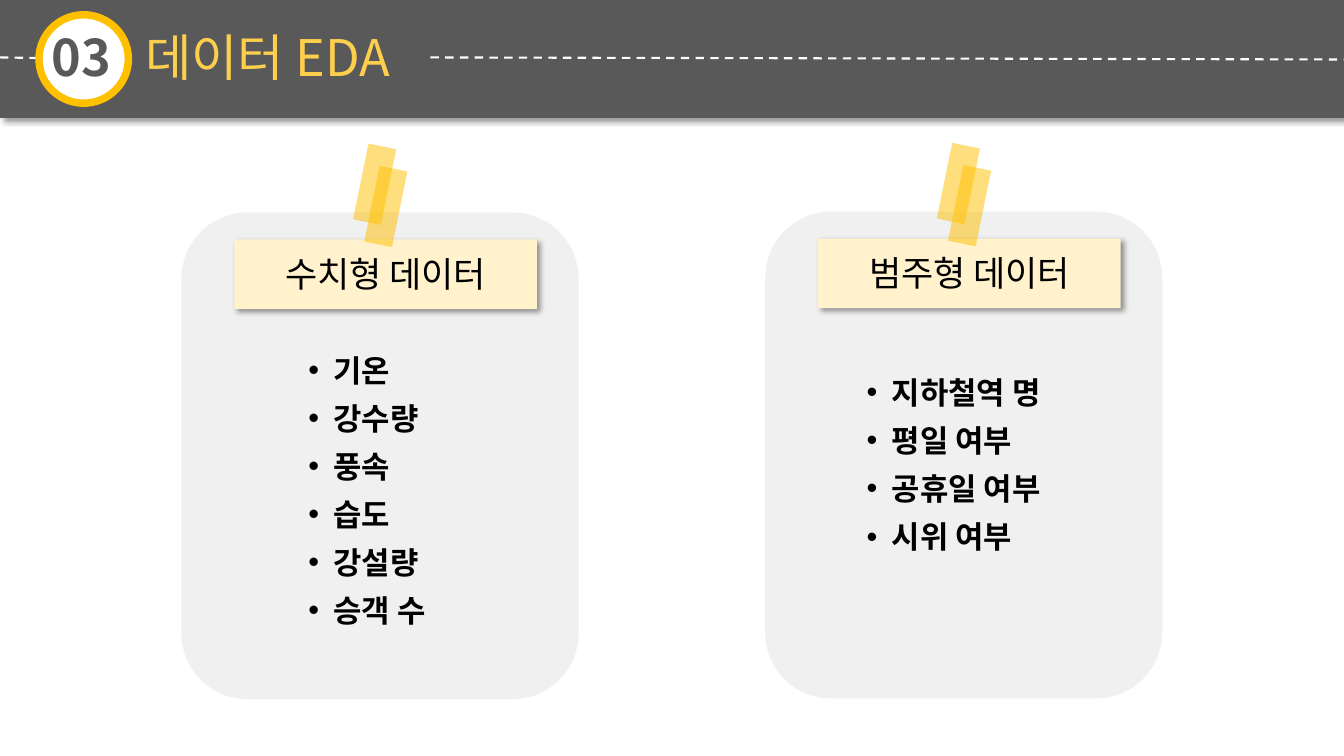
from dataclasses import dataclass

from lxml.etree import SubElement
from pptx import Presentation
from pptx.dml.color import RGBColor
from pptx.enum.dml import MSO_LINE
from pptx.enum.shapes import MSO_CONNECTOR, MSO_SHAPE
from pptx.enum.text import MSO_ANCHOR, MSO_AUTO_SIZE, PP_ALIGN
from pptx.oxml.ns import qn
from pptx.util import Inches, Pt

FONT = "Noto Sans CJK KR"
COLORS = {
    "band": "595959", "white": "FFFFFF", "ring": "FFC000", "title": "FDCF4D",
    "card": "F0F0F0", "label": "FFF2CC", "black": "000000",
}
WIDTH, HEIGHT = Inches(13.33), Inches(7.5)


@dataclass(frozen=True)
class Box:
    """Place and size in percent of the slide's width and height."""
    left: float
    top: float
    width: float
    height: float

    def emu(self) -> tuple[int, int, int, int]:
        return (int(WIDTH * self.left / 100), int(HEIGHT * self.top / 100),
                int(WIDTH * self.width / 100), int(HEIGHT * self.height / 100))

    def inside(self, dx: float, dy: float, width: float, height: float) -> "Box":
        return Box(self.left + dx, self.top + dy, width, height)


@dataclass(frozen=True)
class Card:
    heading: str
    items: tuple[str, ...]
    area: Box
    items_area: Box


CARDS = (
    Card("수치형 데이터", ("기온", "강수량", "풍속", "습도", "강설량", "승객 수"),
         Box(13.5, 28.1, 29.55, 64.4), Box(22.2, 44.4, 11.33, 38.8)),
    Card("범주형 데이터", ("지하철역 명", "평일 여부", "공휴일 여부", "시위 여부"),
         Box(56.93, 28, 29.55, 64.4), Box(63.75, 47.33, 17.03, 26)),
)


def rgb(color: str) -> RGBColor:
    return RGBColor.from_string(COLORS[color])


def add_color(parent, color: str, alpha: int) -> None:
    tint = SubElement(parent, qn("a:srgbClr"), val=COLORS[color])
    SubElement(tint, qn("a:alpha"), val=str(alpha * 1000))


def draw_shape(shapes, kind: MSO_SHAPE, box: Box, color: str,
               alpha: int = 100, shadow: bool = False):
    shape = shapes.add_shape(kind, *box.emu())
    shape.shadow.inherit = False
    shape.line.fill.background()
    shape.fill.solid()
    shape.fill.fore_color.rgb = rgb(color)
    properties = shape._element.spPr
    if alpha < 100:
        SubElement(properties.find(".//" + qn("a:srgbClr")), qn("a:alpha"), val=str(alpha * 1000))
    if shadow:
        cast = SubElement(properties.find(qn("a:effectLst")), qn("a:outerShdw"),
                          blurRad=str(Pt(4)), dist=str(Pt(3)), dir="2700000", algn="tl")
        add_color(cast, "black", 40)
    return shape


def draw_dashes(shapes, start: float, end: float) -> None:
    left, top, width, height = Box(start, 7.6, end - start, 0.27).emu()
    line = shapes.add_connector(MSO_CONNECTOR.STRAIGHT, left, top, left + width, top + height)
    line.line.color.rgb = rgb("white")
    line.line.width = Pt(1.5)
    line.line.dash_style = MSO_LINE.DASH
    SubElement(line._element.spPr, qn("a:effectLst"))


def write(frame, *lines: str, size: float, color: str = "black", bold: bool = False,
          align: PP_ALIGN = PP_ALIGN.LEFT, bullet: bool = False,
          spacing: float = 1.0) -> None:
    frame.word_wrap = True
    frame.auto_size = MSO_AUTO_SIZE.NONE
    frame.vertical_anchor = MSO_ANCHOR.TOP
    for number, line in enumerate(lines):
        paragraph = frame.add_paragraph() if number else frame.paragraphs[0]
        paragraph.alignment = align
        paragraph.line_spacing = spacing
        if bullet:
            layout = paragraph._p.get_or_add_pPr()
            layout.set("marL", str(Inches(0.25)))
            layout.set("indent", str(-Inches(0.25)))
            SubElement(layout, qn("a:buFont"), typeface="Arial")
            SubElement(layout, qn("a:buChar"), char="•")
        run = paragraph.add_run()
        run.text = line
        run.font.size, run.font.bold, run.font.name = Pt(size), bold, FONT
        run.font.color.rgb = rgb(color)
        SubElement(run._r.get_or_add_rPr(), qn("a:ea"), typeface=FONT)


def draw_header(shapes) -> None:
    draw_shape(shapes, MSO_SHAPE.RECTANGLE, Box(0, 0, 100, 15.6), "band", shadow=True)
    draw_dashes(shapes, 0, 9.83)
    draw_dashes(shapes, 32.03, 100)
    # Number badge
    badge = shapes.add_group_shape().shapes
    draw_shape(badge, MSO_SHAPE.OVAL, Box(2.85, 1.87, 6.68, 11.6), "white")
    ring = draw_shape(badge, MSO_SHAPE.DONUT, Box(2.63, 1.47, 7.2, 12.67), "ring")
    ring.adjustments[0] = 0.077
    number = shapes.add_textbox(*Box(3.08, 2.8, 6.98, 9.47).emu())
    write(number.text_frame, "03", size=36, color="band", bold=True)
    # Title, with a widened word space
    title = shapes.title
    title.left, title.top, title.width, title.height = Box(10.05, 2.8, 30.45, 17.47).emu()
    write(title.text_frame, "데이터 EDA", size=36, color="title")
    shapes._spTree.append(title._element)


def draw_card(shapes, card: Card) -> None:
    area = card.area
    draw_shape(shapes, MSO_SHAPE.ROUNDED_RECTANGLE, area, "card")
    # Heading label
    draw_shape(shapes, MSO_SHAPE.RECTANGLE, area.inside(3.95, 3.55, 22.5, 9.2),
               "label", shadow=True)
    heading = shapes.add_textbox(*area.inside(4.1, 4.67, 22.2, 6.93).emu())
    write(heading.text_frame, card.heading, size=25, align=PP_ALIGN.CENTER)
    # Bulleted items
    items = shapes.add_textbox(*card.items_area.emu())
    write(items.text_frame, *card.items, size=22, bold=True, bullet=True, spacing=1.3)
    # Two strips of tape
    tape = shapes.add_group_shape().shapes
    for step in range(2):
        strip = area.inside(11.5 + 0.83 * step, -5.6 + 2.93 * step, 5.75, 3.75)
        draw_shape(tape, MSO_SHAPE.RECTANGLE, strip, "ring", alpha=51).rotation = 101.5


def main() -> None:
    deck = Presentation()
    deck.slide_width, deck.slide_height = WIDTH, HEIGHT
    slide = deck.slides.add_slide(deck.slide_layouts[5])
    draw_header(slide.shapes)
    for card in CARDS:
        draw_card(slide.shapes, card)
    deck.save("out.pptx")


if __name__ == "__main__":
    main()
